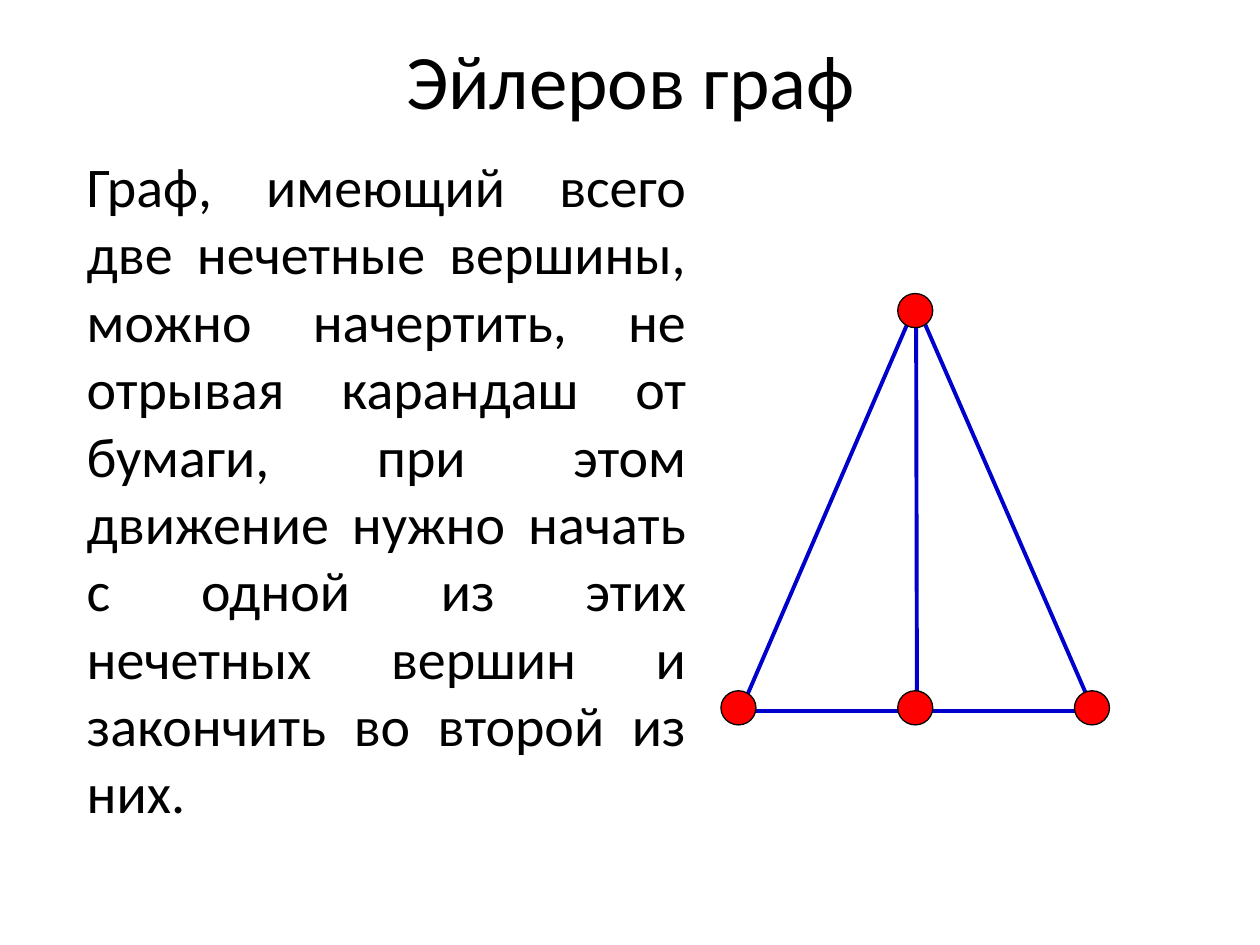
from lxml import etree
from pptx import Presentation
from pptx.dml.color import RGBColor
from pptx.enum.shapes import MSO_CONNECTOR, MSO_SHAPE
from pptx.enum.text import MSO_ANCHOR, PP_ALIGN
from pptx.oxml.ns import qn
from pptx.util import Pt


def colour(value):
    return RGBColor.from_string(value)


def place(shape, box):
    for name, value in zip(("left", "top", "width", "height"), box):
        setattr(shape, name, Pt(value))


def write(shape, text, size, frame_format, para_format):
    frame = shape.text_frame
    for name, value in frame_format.items():
        setattr(frame, name, value)
    para = frame.paragraphs[0]
    for name, value in para_format.items():
        setattr(para, name, value)
    span = para.add_run()
    span.text = text
    for name, value in {"name": "Calibri", "size": Pt(size)}.items():
        setattr(span.font, name, value)
    span.font.color.rgb = colour("000000")


def add_title(page, box, text):
    title = page.shapes.title
    place(title, box)
    write(title, text, 44,
          {"vertical_anchor": MSO_ANCHOR.MIDDLE, "word_wrap": True},
          {"alignment": PP_ALIGN.CENTER})


def add_body(page, box, text):
    body = page.shapes.add_textbox(*map(Pt, box))
    write(body, text, 32,
          {"vertical_anchor": MSO_ANCHOR.TOP, "word_wrap": True},
          {"alignment": PP_ALIGN.JUSTIFY, "line_spacing": Pt(38.5)})


def add_edge(page, start, end):
    edge = page.shapes.add_connector(
        MSO_CONNECTOR.STRAIGHT, *map(Pt, (*start, *end)))
    edge.line.color.rgb = colour("0000CC")
    edge.line.width = Pt(2.25)
    etree.SubElement(edge._element.spPr, qn("a:effectLst"))


def add_vertex(page, centre, width=20, height=19.5):
    x, y = centre
    vertex = page.shapes.add_shape(
        MSO_SHAPE.OVAL,
        *map(Pt, (x - width / 2, y - height / 2, width, height)))
    vertex.shadow.inherit = False
    vertex.fill.solid()
    vertex.fill.fore_color.rgb = colour("FF0000")
    vertex.line.color.rgb = colour("000000")
    vertex.line.width = Pt(0.75)


def add_graph(page, box):
    """Draw a triangle with its median; the box bounds the vertex centres."""
    left, top, width, height = box
    middle, right, bottom = left + width / 2, left + width, top + height
    apex = (middle, top)
    base = [(x, bottom) for x in (left, middle, right)]

    # Edges: the base runs slightly below the vertex centres
    low_left, low_middle, low_right = [(x + 1, y + 2) for x, y in base]
    tip = (middle + 0.5, top - 4)
    for start, end in ((tip, low_middle), (low_left, low_middle),
                       (low_middle, low_right), (tip, low_right),
                       (tip, low_left)):
        add_edge(page, start, end)

    # Vertices cover the ends of the edges
    for centre in (apex, *base):
        add_vertex(page, centre)


def main():
    deck = Presentation()
    deck.slide_width, deck.slide_height = Pt(720), Pt(540)
    page = deck.slides.add_slide(deck.slide_layouts[5])
    add_title(page, (36.5, 0, 648, 90), "Эйлеров граф")
    add_body(page, (42.5, 83, 357, 420),
             "Граф, имеющий всего две нечетные вершины, можно начертить, "
             "не отрывая карандаш от бумаги, при этом движение нужно начать "
             "с одной из этих нечетных вершин и закончить во второй из них.")
    add_graph(page, (422, 177.5, 202, 227))
    deck.save("out.pptx")


if __name__ == "__main__":
    main()
